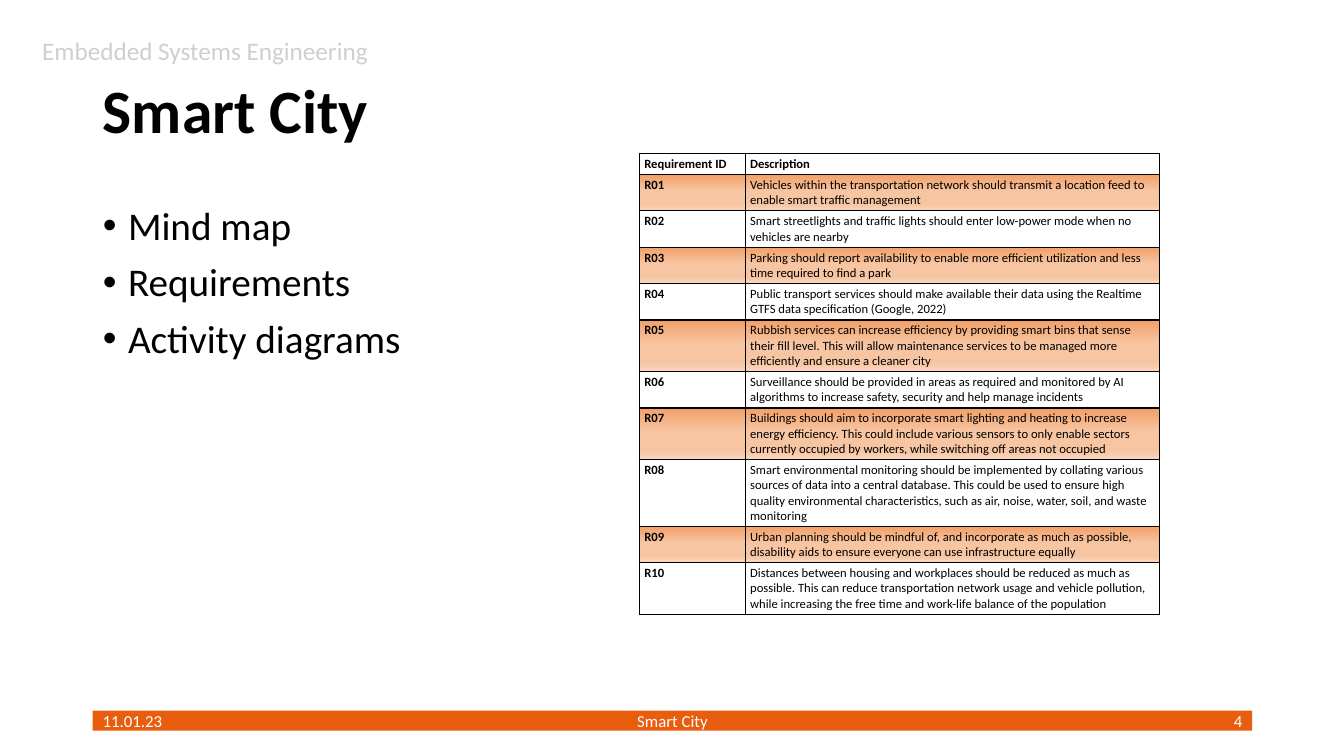
from lxml.etree import SubElement
from pptx import Presentation
from pptx.dml.color import RGBColor
from pptx.enum.shapes import MSO_SHAPE as Shape
from pptx.enum.text import MSO_ANCHOR as Anchor, MSO_AUTO_SIZE as AutoSize, PP_ALIGN as Align
from pptx.oxml.ns import qn
from pptx.util import Inches, Pt

SLIDE_W, SLIDE_H = 13.33, 7.5
MARGIN, CONTENT_W = 0.92, 11.5
FONT = "Calibri"
COLORS = {"text": "000000", "course": "D0CECE", "bar": "E95D0F", "on_bar": "FFFFFF",
          "border": "000000", "shade_top": "F29F67", "shade_mid": "F7C5A2",
          "shade_end": "FAD8C1"}
ROW_SHADE = [(0, "shade_top"), (46, "shade_mid"), (83, "shade_mid"), (100, "shade_end")]

TOPICS = ["Mind map", "Requirements", "Activity diagrams"]

# Description and the number of lines it takes in its column
REQUIREMENTS = [
    ("Vehicles within the transportation network should transmit a location feed to "
     "enable smart traffic management", 2),
    ("Smart streetlights and traffic lights should enter low-power mode when no "
     "vehicles are nearby", 2),
    ("Parking should report availability to enable more efficient utilization and less "
     "time required to find a park", 2),
    ("Public transport services should make available their data using the Realtime "
     "GTFS data specification (Google, 2022)", 2),
    ("Rubbish services can increase efficiency by providing smart bins that sense "
     "their fill level. This will allow maintenance services to be managed more "
     "efficiently and ensure a cleaner city", 3),
    ("Surveillance should be provided in areas as required and monitored by AI "
     "algorithms to increase safety, security and help manage incidents", 2),
    ("Buildings should aim to incorporate smart lighting and heating to increase "
     "energy efficiency. This could include various sensors to only enable sectors "
     "currently occupied by workers, while switching off areas not occupied", 3),
    ("Smart environmental monitoring should be implemented by collating various "
     "sources of data into a central database. This could be used to ensure high "
     "quality environmental characteristics, such as air, noise, water, soil, and waste "
     "monitoring", 4),
    ("Urban planning should be mindful of, and incorporate as much as possible, "
     "disability aids to ensure everyone can use infrastructure equally", 2),
    ("Distances between housing and workplaces should be reduced as much as "
     "possible. This can reduce transportation network usage and vehicle pollution, "
     "while increasing the free time and work-life balance of the population", 3),
]


def style(paragraph, size, color="text", bold=False, align=Align.LEFT):
    paragraph.alignment = align
    font = paragraph.font
    font.name, font.size, font.bold = FONT, Pt(size), bold
    font.color.rgb = RGBColor.from_string(COLORS[color])


def place(shape, box):
    shape.left, shape.top, shape.width, shape.height = map(Inches, box)


def add_label(slide, box, text, size, color, align=Align.LEFT, anchor=Anchor.TOP):
    label = slide.shapes.add_textbox(*map(Inches, box)).text_frame
    label.word_wrap = True
    label.vertical_anchor = anchor
    label.text = text
    style(label.paragraphs[0], size, color, align=align)


def add_title(slide, box, text):
    title = slide.shapes.title
    place(title, box)
    title.text_frame.text = text
    title.text_frame.vertical_anchor = Anchor.MIDDLE
    title.text_frame.auto_size = AutoSize.NONE
    heading = title.text_frame.paragraphs[0]
    heading.line_spacing = 0.9
    style(heading, 44, bold=True)


def add_topics(slide, box, topics):
    body = slide.placeholders[1]
    place(body, box)
    frame = body.text_frame
    frame.text = "\n".join(topics)
    frame.auto_size = AutoSize.NONE
    for index, topic in enumerate(frame.paragraphs):
        topic.line_spacing = 0.9
        topic.space_before = Pt(10 if index else 0)
        props = topic._p.get_or_add_pPr()
        props.set("marL", str(Inches(0.25)))
        props.set("indent", str(-Inches(0.25)))
        SubElement(props, qn("a:buFont"), typeface="Arial")
        SubElement(props, qn("a:buChar"), char="•")
        style(topic, 28)


def add_color(parent, color):
    SubElement(parent, qn("a:srgbClr"), val=COLORS[color])


def fill_cell(cell, text, bold, shaded):
    cell.text = text
    style(cell.text_frame.paragraphs[0], 9, bold=bold)
    cell.margin_left = cell.margin_right = Inches(0.05)
    cell.margin_top = cell.margin_bottom = Inches(0.03)
    props = cell._tc.get_or_add_tcPr()
    for side in ("lnL", "lnR", "lnT", "lnB"):
        line = SubElement(props, qn(f"a:{side}"), w=str(Pt(1)))
        add_color(SubElement(line, qn("a:solidFill")), "border")
    if not shaded:
        cell.fill.background()
        return
    gradient = SubElement(props, qn("a:gradFill"), rotWithShape="1")
    stops = SubElement(gradient, qn("a:gsLst"))
    for percent, color in ROW_SHADE:
        add_color(SubElement(stops, qn("a:gs"), pos=str(percent * 1000)), color)
    SubElement(gradient, qn("a:lin"), ang=str(90 * 60000), scaled="0")


def add_requirements(slide, left, top, widths, requirements):
    rows = [("Requirement ID", "Description", 1)]
    rows += [(f"R{number:02}", text, lines)
             for number, (text, lines) in enumerate(requirements, 1)]
    heights = [0.05 + 0.15 * lines for _, _, lines in rows]
    box = (left, top, sum(widths), sum(heights))
    table = slide.shapes.add_table(len(rows), 2, *map(Inches, box)).table
    table.first_row = table.horz_banding = False
    for column, width in zip(table.columns, widths):
        column.width = Inches(width)
    for index, (req_id, description, _) in enumerate(rows):
        table.rows[index].height = Inches(heights[index])
        shaded = index % 2 == 1
        fill_cell(table.cell(index, 0), req_id, True, shaded)
        fill_cell(table.cell(index, 1), description, index == 0, shaded)


def add_footer(slide, box, date, name, number):
    left, top, width, height = box
    bar = slide.shapes.add_shape(Shape.RECTANGLE, *map(Inches, box))
    bar.shadow.inherit = False
    bar.fill.solid()
    bar.fill.fore_color.rgb = RGBColor.from_string(COLORS["bar"])
    bar.line.fill.background()
    # Date, name and page number share the bar's middle line
    parts = [(date, 0, 3, Align.LEFT), (name, 3.5, 4.5, Align.CENTER),
             (number, width - 3, 3, Align.RIGHT)]
    for text, offset, part_w, align in parts:
        add_label(slide, (left + offset, top - height / 2, part_w, 2 * height),
                  text, 12, "on_bar", align, Anchor.MIDDLE)


def main():
    deck = Presentation()
    deck.slide_width, deck.slide_height = Inches(SLIDE_W), Inches(SLIDE_H)
    slide = deck.slides.add_slide(deck.slide_layouts[1])
    add_label(slide, (0.32, 0.3, 3.53, 0.4), "Embedded Systems Engineering", 18, "course")
    add_title(slide, (MARGIN, 0.4, CONTENT_W, 1.45), "Smart City")
    add_topics(slide, (MARGIN, 2, CONTENT_W, 4.76), TOPICS)
    add_requirements(slide, 6.34, 1.52, (1.05, 4.11), REQUIREMENTS)
    add_footer(slide, (MARGIN, 7.05, CONTENT_W, 0.2), "11.01.23", "Smart City", "4")
    deck.save("out.pptx")


if __name__ == "__main__":
    main()
